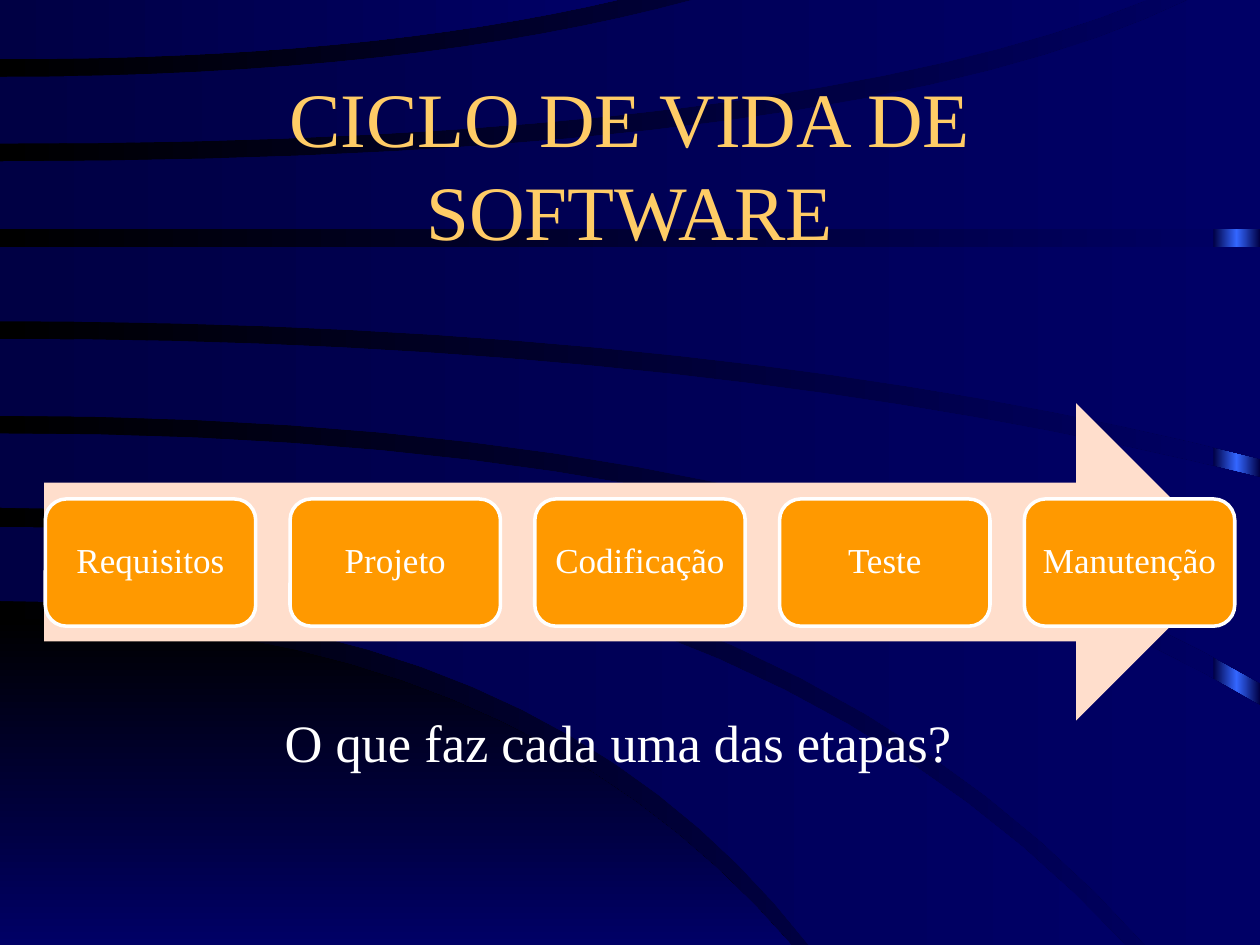
import copy
from dataclasses import dataclass

import pptx
import pptx.dml.color
import pptx.enum.shapes
import pptx.enum.text
import pptx.oxml.ns
import pptx.util

Inches = pptx.util.Inches
Pt = pptx.util.Pt
SHAPE = pptx.enum.shapes.MSO_SHAPE
ALIGN = pptx.enum.text.PP_ALIGN
ANCHOR = pptx.enum.text.MSO_ANCHOR

WIDTH, HEIGHT = 10, 7.5
CURVE_STEPS = 16


@dataclass(frozen=True)
class Theme:
    font: str = "Times New Roman"
    title_size: int = 44
    question_size: int = 30
    stage_size: int = 20
    title: str = "FFCC66"
    text: str = "FFFFFF"
    arrow: str = "FFDECC"
    stage: str = "FF9900"
    backdrop: tuple = ("000000", "000066")
    band: tuple = ("000044", "000066")
    glow: tuple = ("000044", "3366FF", "000044")


@dataclass(frozen=True)
class Edge:
    """A curve that leaves the left side level, bends at bend_x and stops at the end point."""
    start_y: float
    bend_x: float
    end_x: float
    end_y: float

    def points(self):
        for step in range(CURVE_STEPS + 1):
            t = step / CURVE_STEPS
            yield (2 * t * (1 - t) * self.bend_x + t * t * self.end_x,
                   self.start_y + t * t * (self.end_y - self.start_y))


THEME = Theme()
STAGES = ["Requisitos", "Projeto", "Codificação", "Teste", "Manutenção"]

CORNER_EDGE = Edge(4.91, 4.05, 6.28, HEIGHT)

# Upper edge, lower edge, and the page corners between their ends.
BANDS = [
    (Edge(4.18, 5.85, 8.93, HEIGHT), Edge(4.77, 4.3, 6.42, HEIGHT), []),
    (Edge(3.44, 6.4, WIDTH, 5.6), Edge(4.03, 6, 9.09, HEIGHT), [(WIDTH, HEIGHT)]),
    (Edge(2.69, 5.6, WIDTH, 3.79), Edge(3.3, 6.4, WIDTH, 5.42), []),
    (Edge(1.96, 5, WIDTH, 1.96), Edge(2.55, 5.75, WIDTH, 3.64), []),
    (Edge(1.28, 6.8, 9.43, 0), Edge(1.82, 5, WIDTH, 1.82), [(WIDTH, 0)]),
    (Edge(0.61, 3.25, 5.5, 0), Edge(1.14, 6.3, 9.1, 0), []),
    (Edge(0, 2.45, 4.9, 0), Edge(0.47, 2.9, 4.9, 0), []),
]


def rgb(value):
    return pptx.dml.color.RGBColor.from_string(value)


def paint_gradient(fill, colours, angle=0):
    """Spread the colours evenly; the angle runs counter-clockwise."""
    fill.gradient()
    fill.gradient_angle = angle
    stop_list = fill._xPr.find(".//" + pptx.oxml.ns.qn("a:gsLst"))
    for _ in colours[2:]:
        stop_list.append(copy.deepcopy(stop_list[-1]))
    for index, (stop, colour) in enumerate(zip(fill.gradient_stops, colours)):
        stop.position = index / (len(colours) - 1)
        stop.color.rgb = rgb(colour)


def write_text(shape, text, *, size, colour, align=ALIGN.CENTER, anchor=ANCHOR.MIDDLE,
               inset=None, line_spacing=None, space_before=None):
    frame = shape.text_frame
    frame.word_wrap = True
    frame.vertical_anchor = anchor
    if inset is not None:
        frame.margin_left = frame.margin_right = Inches(inset)
        frame.margin_top = frame.margin_bottom = Inches(inset)
    para = frame.paragraphs[0]
    para.alignment = align
    para.line_spacing = line_spacing
    para.space_before = space_before
    span = para.add_run()
    span.text = text
    span.font.name = THEME.font
    span.font.size = Pt(size)
    span.font.color.rgb = rgb(colour)


def add_shape(page, kind, left, top, width, height, colour=None):
    shape = page.shapes.add_shape(kind, Inches(left), Inches(top), Inches(width), Inches(height))
    shape.shadow.inherit = False
    shape.line.fill.background()
    if colour:
        shape.fill.solid()
        shape.fill.fore_color.rgb = rgb(colour)
    return shape


def add_outline(page, points, colours, angle=0):
    corners = [(Inches(x), Inches(y)) for x, y in points]
    builder = page.shapes.build_freeform(*corners[0])
    builder.add_line_segments(corners[1:], close=True)
    shape = builder.convert_to_shape()
    shape.shadow.inherit = False
    shape.line.fill.background()
    paint_gradient(shape.fill, colours, angle)


def add_text_box(page, text, left, top, width, height, **text_format):
    box = page.shapes.add_textbox(Inches(left), Inches(top), Inches(width), Inches(height))
    write_text(box, text, **text_format)


def add_stage(page, name, left):
    card = add_shape(page, SHAPE.ROUNDED_RECTANGLE, left, 3.96, 1.67, 1.01, THEME.stage)
    card.line.color.rgb = rgb(THEME.text)
    card.line.width = Pt(2)
    write_text(card, name, size=THEME.stage_size, colour=THEME.text, inset=0.08,
               line_spacing=0.9)


def add_backdrop(page):
    paint_gradient(page.background.fill, THEME.backdrop)
    glow = add_shape(page, SHAPE.RECTANGLE, 9.63, 0, 0.37, HEIGHT)
    paint_gradient(glow.fill, THEME.glow)
    add_outline(page, [*CORNER_EDGE.points(), (0, HEIGHT)], THEME.backdrop, angle=270)
    for upper, lower, corners in BANDS:
        outline = [*upper.points(), *corners, *reversed(list(lower.points()))]
        add_outline(page, outline, THEME.band)


def main():
    deck = pptx.Presentation()
    deck.slide_width, deck.slide_height = Inches(WIDTH), Inches(HEIGHT)
    page = deck.slides.add_slide(deck.slide_layouts[6])
    add_backdrop(page)
    add_text_box(page, "CICLO DE VIDA DE SOFTWARE", 0.75, 0.67, 8.5, 1.25,
                 size=THEME.title_size, colour=THEME.title)
    add_shape(page, SHAPE.RIGHT_ARROW, 0.35, 3.2, 9.45, 2.52, THEME.arrow)
    first_left, last_left = 0.36, 8.13
    pitch = (last_left - first_left) / (len(STAGES) - 1)
    for index, name in enumerate(STAGES):
        add_stage(page, name, first_left + index * pitch)
    add_text_box(page, "O que faz cada uma das etapas?", 2.16, 5.64, 6.15, 0.55,
                 size=THEME.question_size, colour=THEME.text, align=ALIGN.JUSTIFY,
                 anchor=ANCHOR.TOP, line_spacing=0.9, space_before=Pt(3))
    deck.save("out.pptx")


if __name__ == "__main__":
    main()
